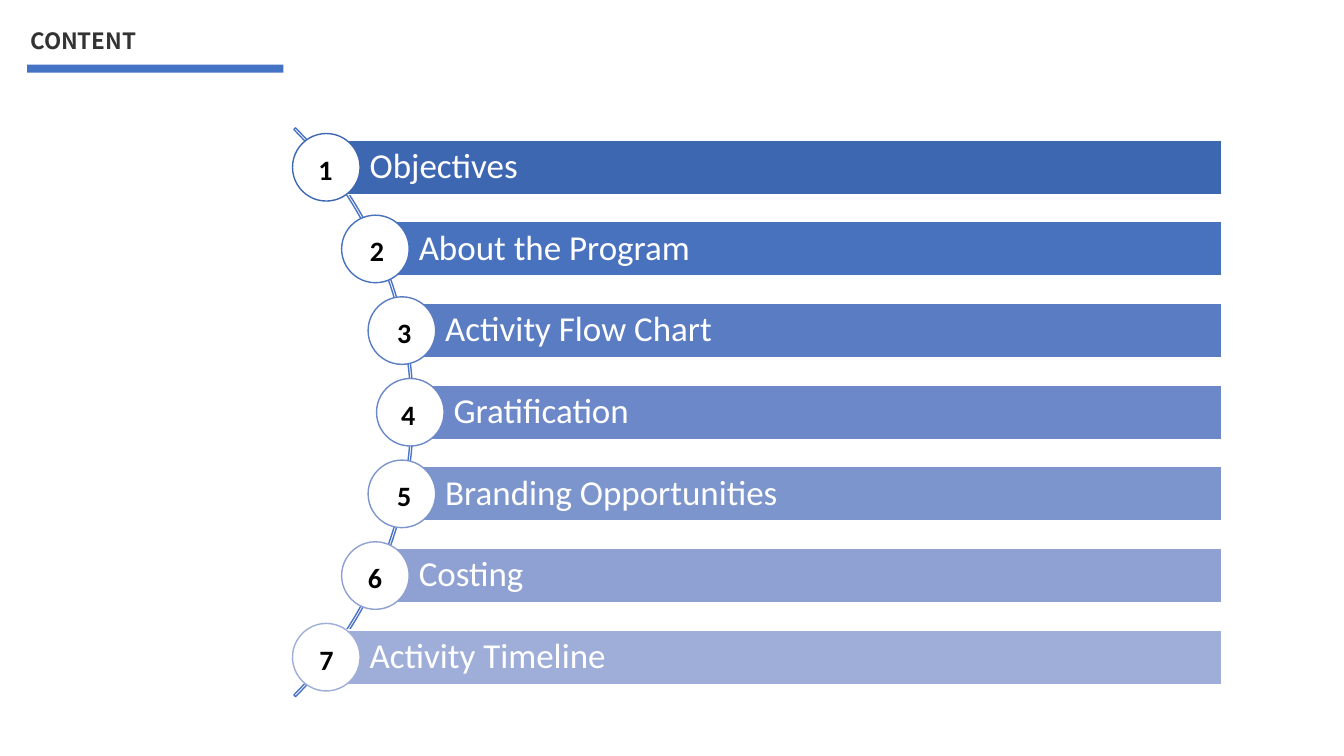
import math

import pptx
import pptx.util
from pptx.dml.color import RGBColor
from pptx.enum.shapes import MSO_SHAPE
from pptx.enum.text import MSO_ANCHOR, MSO_AUTO_SIZE, PP_ALIGN
from pptx.util import Inches

WHITE = RGBColor(0xFF, 0xFF, 0xFF)
BLACK = RGBColor(0x00, 0x00, 0x00)
TITLE_GREY = RGBColor(0x33, 0x33, 0x33)
RULE_BLUE = RGBColor(0x44, 0x72, 0xC4)
ARC_BLUE = RGBColor(0x4A, 0x75, 0xC5)

# Topic, bar colour, left edge of the number's text box
TOPICS = [
    ("Objectives", RGBColor(0x3E, 0x67, 0xB2), 3.06),
    ("About the Program", RGBColor(0x48, 0x71, 0xBE), 3.57),
    ("Activity Flow Chart", RGBColor(0x5A, 0x7C, 0xC3), 3.84),
    ("Gratification", RGBColor(0x6C, 0x88, 0xC8), 3.88),
    ("Branding Opportunities", RGBColor(0x7D, 0x95, 0xCD), 3.84),
    ("Costing", RGBColor(0x8E, 0xA1, 0xD2), 3.55),
    ("Activity Timeline", RGBColor(0x9F, 0xAE, 0xD8), 3.07),
]

ARC_X, ARC_Y, ARC_SIZE = 0.11, 4.09, 7.98
CIRCLE_PATH_RADIUS = 3.96
BAR_RIGHT, BAR_H = 12.12, 0.54
CIRCLE_SIZE = 0.67
PITCH = 0.81


def add_shape(kind, x, y, w, h, fill=None, line=None):
    """Add a shadowless shape; a missing fill or line is left empty."""
    sp = slide.shapes.add_shape(kind, Inches(x), Inches(y), Inches(w), Inches(h))
    sp.shadow.inherit = False
    if fill is None:
        sp.fill.background()
    else:
        sp.fill.solid()
        sp.fill.fore_color.rgb = fill
    if line is None:
        sp.line.fill.background()
    else:
        sp.line.color.rgb = line
        sp.line.width = pptx.util.Pt(1)
    return sp


def set_text(sp, text, size, color, font="Calibri", bold=False,
             anchor=MSO_ANCHOR.TOP, insets=(0.1, 0.05, 0.1, 0.05), spacing=1.0):
    tf = sp.text_frame
    tf.word_wrap = True
    tf.auto_size = MSO_AUTO_SIZE.NONE
    tf.vertical_anchor = anchor
    tf.margin_left, tf.margin_top, tf.margin_right, tf.margin_bottom = map(Inches, insets)
    p = tf.paragraphs[0]
    p.alignment = PP_ALIGN.LEFT
    p.line_spacing = spacing
    r = p.add_run()
    r.text = text
    r.font.name = font
    r.font.size = pptx.util.Pt(size)
    r.font.bold = bold
    r.font.color.rgb = color


prs = pptx.Presentation()
prs.slide_width = Inches(13.33)
prs.slide_height = Inches(7.5)
slide = prs.slides.add_slide(prs.slide_layouts[5])

# Title and rule
title = slide.shapes.title
title.left, title.top = Inches(0.3), Inches(0.27)
title.width, title.height = Inches(5.43), Inches(0.45)
set_text(title, "CONTENT", 16, TITLE_GREY, font="Noto Sans CJK SC", bold=True,
         insets=(0, 0, 0, 0))
add_shape(MSO_SHAPE.RECTANGLE, 0.27, 0.64, 2.54, 0.08, fill=RULE_BLUE)

# Arc behind the circles
arc = add_shape(MSO_SHAPE.BLOCK_ARC, ARC_X - ARC_SIZE / 2, ARC_Y - ARC_SIZE / 2,
                ARC_SIZE, ARC_SIZE, line=ARC_BLUE)
for i, value in enumerate((189, 27, 0.003)):
    arc.adjustments[i] = value

# Bars and circles, centred on the arc
for i, (topic, color, number_x) in enumerate(TOPICS):
    dy = (i - (len(TOPICS) - 1) / 2) * PITCH
    x = ARC_X + math.sqrt(CIRCLE_PATH_RADIUS ** 2 - dy ** 2)
    y = ARC_Y + dy
    bar = add_shape(MSO_SHAPE.RECTANGLE, x, y - BAR_H / 2, BAR_RIGHT - x, BAR_H,
                    fill=color, line=WHITE)
    set_text(bar, topic, 25, WHITE, anchor=MSO_ANCHOR.MIDDLE,
             insets=(0.43, 0.07, 0.07, 0.07), spacing=0.9)
    add_shape(MSO_SHAPE.OVAL, x - CIRCLE_SIZE / 2, y - CIRCLE_SIZE / 2,
              CIRCLE_SIZE, CIRCLE_SIZE, fill=WHITE, line=color)
    number = slide.shapes.add_textbox(Inches(number_x), Inches(y - 0.2),
                                      Inches(0.42), Inches(0.44))
    set_text(number, str(i + 1), 20, BLACK, bold=True)

prs.save("out.pptx")
